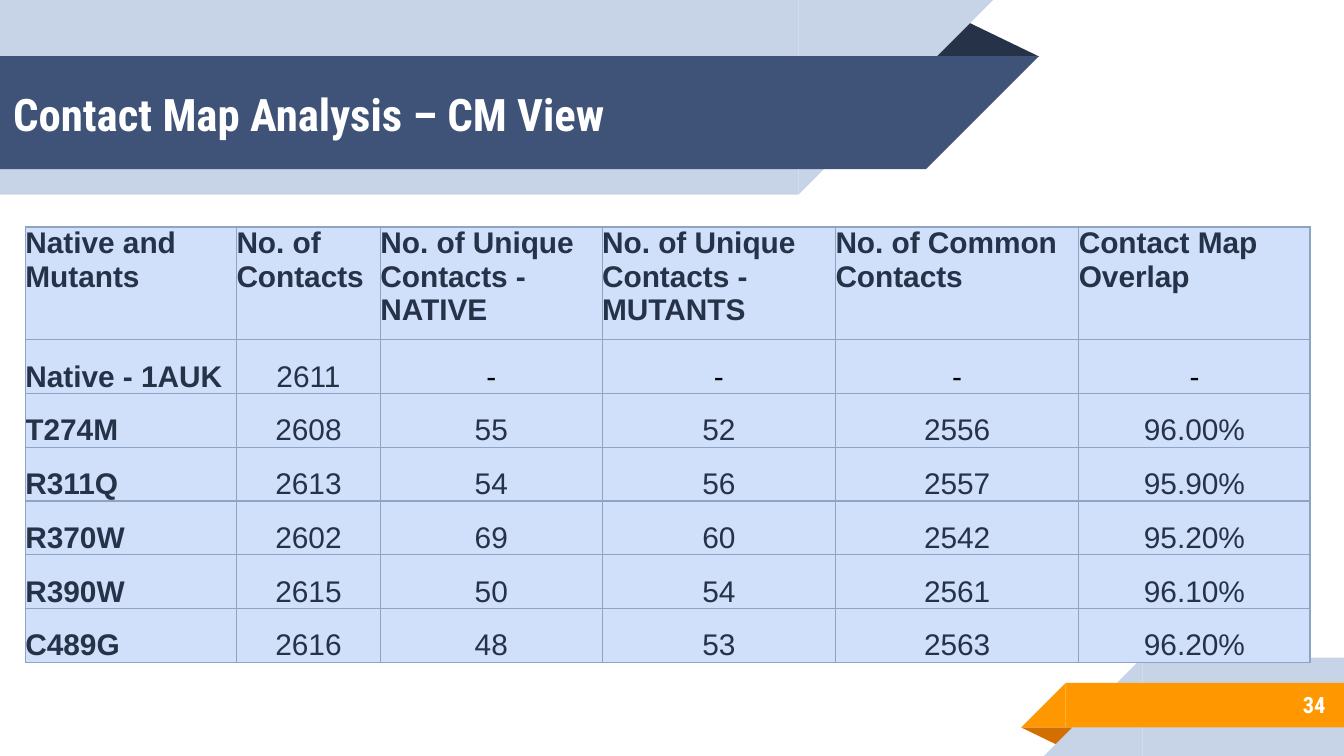
from typing import NamedTuple

from lxml.etree import SubElement
from pptx import Presentation
from pptx.dml.color import RGBColor
from pptx.enum.shapes import MSO_SHAPE
from pptx.enum.text import MSO_ANCHOR, PP_ALIGN
from pptx.oxml.ns import qn
from pptx.util import Cm, Pt

NAVY = RGBColor(0x26, 0x32, 0x48)
BLUE = RGBColor(0x3F, 0x53, 0x78)
PALE = RGBColor(0xC7, 0xD3, 0xE6)
ORANGE = RGBColor(0xFF, 0x98, 0x00)
RUST = RGBColor(0xD2, 0x6F, 0x00)
CELL = RGBColor(0xD0, 0xDF, 0xFA)
BORDER = RGBColor(0x8D, 0xA4, 0xC5)
WHITE = RGBColor(0xFF, 0xFF, 0xFF)
BLACK = RGBColor(0x00, 0x00, 0x00)

SLIDE_W, SLIDE_H = 25.4, 14.29
TITLE_FONT, TABLE_FONT = "Roboto Condensed", "Arial"


class Box(NamedTuple):
    """Left, top, width and height in centimetres."""
    left: float
    top: float
    width: float
    height: float


class Ribbon(NamedTuple):
    """A band along one slide edge whose inner end is cut at 45 degrees."""
    top: float
    height: float
    length: float
    color: RGBColor
    from_left: bool


class Fold(NamedTuple):
    box: Box
    color: RGBColor
    rotation: int


TOP_FOLD = Fold(Box(17.48, 0.36, 2.16, 0.71), NAVY, 0)
TOP_RIBBONS = [
    Ribbon(0, 3.68, 15.09, PALE, True),
    Ribbon(1.06, 2.14, 17.5, BLUE, True),
]
BOTTOM_FOLD = Fold(Box(19.3, 13.75, 1.09, 0.36), RUST, 180)
BOTTOM_RIBBONS = [
    Ribbon(12.43, 1.86, 3.81, PALE, False),
    Ribbon(12.91, 0.84, 5.26, ORANGE, False),
]

TABLE_LEFT, TABLE_TOP = 0.48, 4.29
COLUMNS = [3.99, 2.72, 4.19, 4.41, 4.6, 4.37]
HEADER_H, ROW_H = 2.13, 0.86
HEADER = [
    "Native and\vMutants",
    "No. of Contacts",
    "No. of Unique Contacts -\vNATIVE",
    "No. of Unique Contacts -\vMUTANTS",
    "No. of Common\vContacts",
    "Contact Map\vOverlap",
]
ROWS = [
    ["Native - 1AUK", "2611", "-", "-", "-", "-"],
    ["T274M", "2608", "55", "52", "2556", "96.00%"],
    ["R311Q", "2613", "54", "56", "2557", "95.90%"],
    ["R370W", "2602", "69", "60", "2542", "95.20%"],
    ["R390W", "2615", "50", "54", "2561", "96.10%"],
    ["C489G", "2616", "48", "53", "2563", "96.20%"],
]


def add_solid(shapes, kind: MSO_SHAPE, box: Box, color: RGBColor, rotation: int = 0):
    sp = shapes.add_shape(kind, *map(Cm, box))
    sp.shadow.inherit = False
    sp.fill.solid()
    sp.fill.fore_color.rgb = color
    sp.line.fill.background()
    sp.rotation = rotation
    return sp


def add_fold(shapes, fold: Fold) -> None:
    sp = add_solid(shapes, MSO_SHAPE.ISOSCELES_TRIANGLE, *fold)
    sp.adjustments[0] = 0.32


def add_ribbon(shapes, ribbon: Ribbon) -> None:
    top, side, length, color, from_left = ribbon
    band_left = 0 if from_left else SLIDE_W - length
    tip_left = length if from_left else band_left - side
    add_solid(shapes, MSO_SHAPE.RECTANGLE, Box(band_left, top, length, side), color)
    add_solid(shapes, MSO_SHAPE.RIGHT_TRIANGLE, Box(tip_left, top, side, side),
              color, 90 if from_left else 270)


def format_runs(p, font: str, size: int, color: RGBColor, bold: bool) -> None:
    for r in p.runs:
        r.font.name = font
        r.font.size = Pt(size)
        r.font.bold = bold
        r.font.color.rgb = color


def add_label(shapes, box: Box, text: str, size: int, align: PP_ALIGN) -> None:
    tf = shapes.add_textbox(*map(Cm, box)).text_frame
    tf.word_wrap = True
    tf.vertical_anchor = MSO_ANCHOR.MIDDLE
    tf.margin_left = tf.margin_right = tf.margin_top = tf.margin_bottom = Cm(0.25)
    tf.text = text
    p = tf.paragraphs[0]
    p.alignment = align
    format_runs(p, TITLE_FONT, size, WHITE, True)


def add_borders(cell) -> None:
    tc_pr = cell._tc.get_or_add_tcPr()
    for side in ("a:lnL", "a:lnR", "a:lnT", "a:lnB"):
        ln = SubElement(tc_pr, qn(side), w=str(Pt(0.75)))
        fill = SubElement(ln, qn("a:solidFill"))
        SubElement(fill, qn("a:srgbClr"), val=str(BORDER))


def fill_cell(cell, text: str, is_header: bool, is_name: bool) -> None:
    add_borders(cell)
    cell.fill.solid()
    cell.fill.fore_color.rgb = CELL
    cell.margin_left = cell.margin_right = cell.margin_top = cell.margin_bottom = 0
    cell.vertical_anchor = MSO_ANCHOR.TOP if is_header else MSO_ANCHOR.BOTTOM
    cell.text_frame.text = text
    p = cell.text_frame.paragraphs[0]
    p.alignment = PP_ALIGN.LEFT if is_header or is_name else PP_ALIGN.CENTER
    p.line_spacing = 1.0 if is_header else 1.5
    color = BLACK if text == "-" else NAVY
    format_runs(p, TABLE_FONT, 16, color, is_header or is_name)


def add_contact_table(shapes) -> None:
    data = [HEADER, *ROWS]
    heights = [HEADER_H] + [ROW_H] * len(ROWS)
    box = Box(TABLE_LEFT, TABLE_TOP, sum(COLUMNS), sum(heights))
    table = shapes.add_table(len(data), len(COLUMNS), *map(Cm, box)).table
    table.first_row = table.horz_banding = False
    for column, width in zip(table.columns, COLUMNS):
        column.width = Cm(width)
    for i, (row, height) in enumerate(zip(table.rows, heights)):
        row.height = Cm(height)
        for j, cell in enumerate(row.cells):
            fill_cell(cell, data[i][j], i == 0, j == 0)


def main() -> None:
    prs = Presentation()
    prs.slide_width, prs.slide_height = Cm(SLIDE_W), Cm(SLIDE_H)
    shapes = prs.slides.add_slide(prs.slide_layouts[6]).shapes
    for fold, ribbons in ((TOP_FOLD, TOP_RIBBONS), (BOTTOM_FOLD, BOTTOM_RIBBONS)):
        add_fold(shapes, fold)
        for ribbon in ribbons:
            add_ribbon(shapes, ribbon)
    add_label(shapes, Box(0, 1.09, 16.87, 2.13), "Contact Map Analysis – CM View",
              24, PP_ALIGN.LEFT)
    add_label(shapes, Box(21.16, 12.88, 4.14, 0.89), "34", 12, PP_ALIGN.RIGHT)
    add_contact_table(shapes)
    prs.save("out.pptx")


if __name__ == "__main__":
    main()
